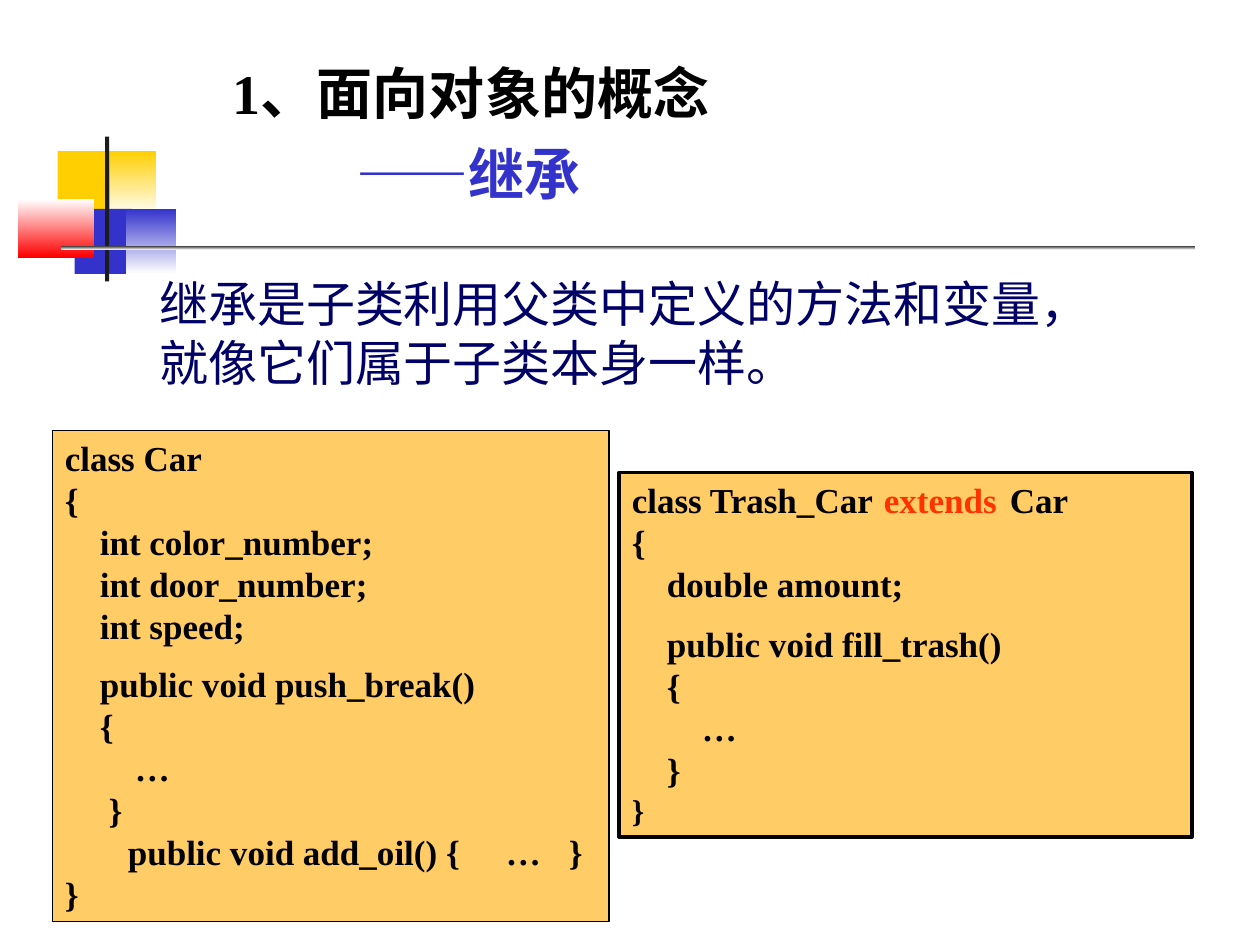
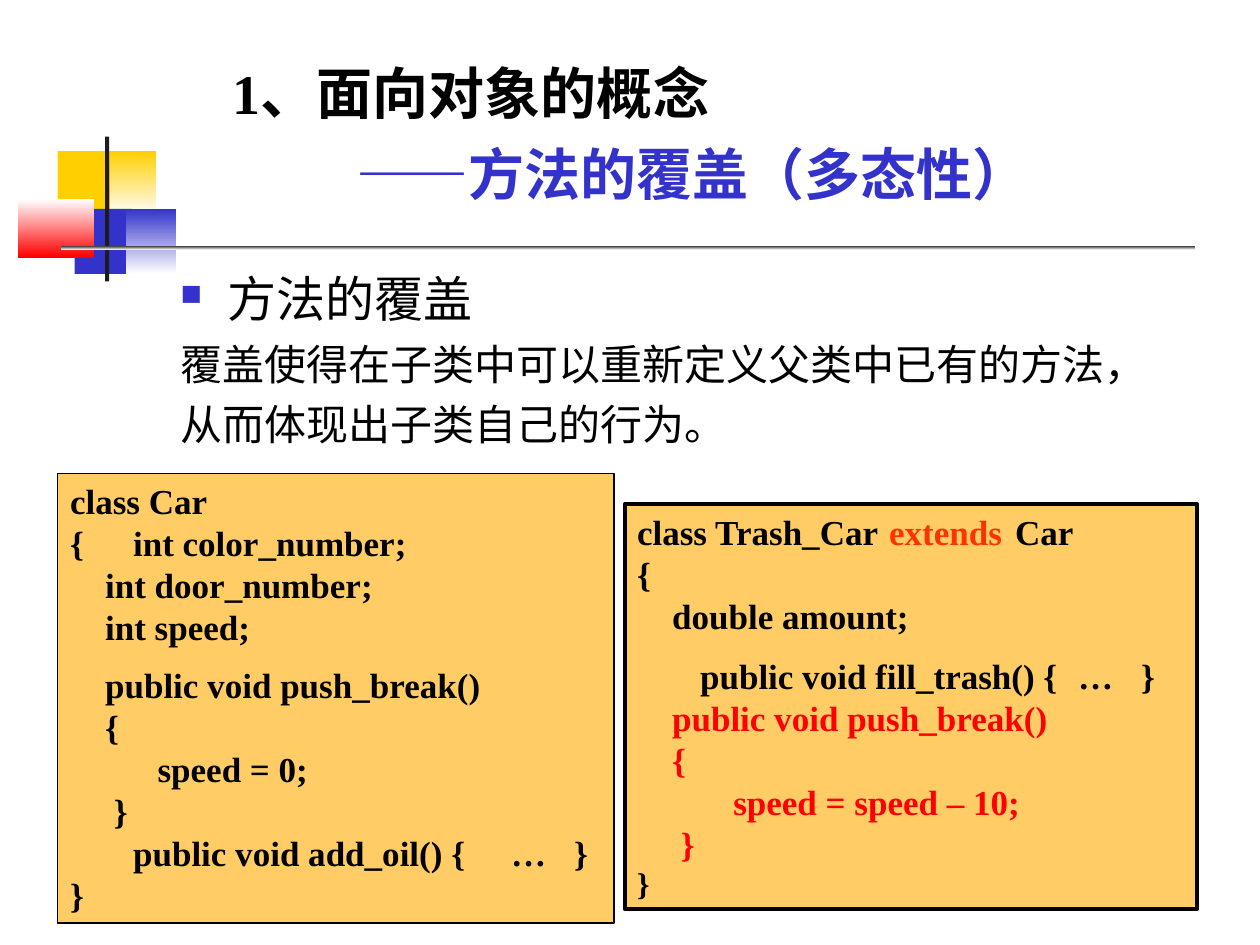
from lxml import etree
from pptx import Presentation
from pptx.dml.color import RGBColor
from pptx.enum.shapes import MSO_SHAPE
from pptx.enum.text import MSO_ANCHOR, PP_ALIGN
from pptx.oxml.ns import qn
from pptx.util import Inches, Pt

RECTANGLE = MSO_SHAPE.RECTANGLE
TOP = MSO_ANCHOR.TOP
LEFT = PP_ALIGN.LEFT

BLACK = RGBColor(0x00, 0x00, 0x00)
WHITE = RGBColor(0xFF, 0xFF, 0xFF)
YELLOW = RGBColor(0xFF, 0xCF, 0x01)
BLUE = RGBColor(0x33, 0x33, 0xCC)
NAVY = RGBColor(0x00, 0x00, 0x66)
RED = RGBColor(0xFF, 0x00, 0x00)
ORANGE_RED = RGBColor(0xFF, 0x33, 0x00)
CHARCOAL = RGBColor(0x1C, 0x1C, 0x1C)
SAND = RGBColor(0xFF, 0xCC, 0x66)

SERIF = "Times New Roman"
SANS = "Lato"
KEYWORD = "extends"
CODE_SPACE = 5

prs = Presentation()
prs.slide_width = Inches(10)
prs.slide_height = Inches(7.5)
COLUMN = prs.slide_width / 120
ROW = prs.slide_height / 90


def place(add, area, *kind):
    left, top, width, height = area
    item = add(*kind, int(left * COLUMN), int(top * ROW), int(width * COLUMN), int(height * ROW))
    item.text_frame.word_wrap = True
    item.text_frame.vertical_anchor = TOP
    if kind:
        item.shadow.inherit = False
        item.line.fill.background()
    return item


def write(frame, text, size, colour, font=SERIF, bold=False, indent=0, before=0, stops=()):
    paragraph = frame.paragraphs[0]
    if paragraph.runs:
        paragraph = frame.add_paragraph()
    paragraph.alignment = LEFT
    paragraph.space_before = Pt(before)
    properties = paragraph._p.get_or_add_pPr()
    properties.set("marL", str(Pt(indent)))
    properties.set("indent", "0")
    if stops:
        tab_list = etree.SubElement(properties, qn("a:tabLst"))
        for stop in stops:
            etree.SubElement(tab_list, qn("a:tab"), pos=str(Inches(stop)), algn="l")
    paragraph.font.name = font
    paragraph.font.size = Pt(size)
    paragraph.font.bold = bold
    paragraph.font.color.rgb = colour
    for part in filter(None, text.partition(KEYWORD)):
        run = paragraph.add_run()
        run.text = part
        if part == KEYWORD:
            run.font.color.rgb = ORANGE_RED
    return paragraph


DECORATION = [
    ((5.5, 14.4, 5.8, 6.2), YELLOW, YELLOW),
    ((10.5, 14.4, 4.4, 6.2), YELLOW, WHITE),
    ((7.1, 19.9, 5.5, 6.2), BLUE, BLUE),
    ((12, 19.9, 4.8, 6.2), BLUE, WHITE),
    ((1.7, 19, 7.3, 5.5), WHITE, RED),
    ((10, 13, 0.4, 13.8), CHARCOAL, CHARCOAL),
    ((5.8, 23.4, 108, 0.4), CHARCOAL, WHITE),
]

SPEED_FIELDS = [
    (4, "int door_number;", 0, BLACK, ()),
    (4, "int speed;", 0, BLACK, ()),
    (4, "public void push_break()", 9.2, BLACK, ()),
    (4, "{", 0, BLACK, ()),
]
CAR_END = [
    (5, "}", 0, BLACK, ()),
    (0, "\tpublic void add_oil() {\t…\t}", 0, BLACK, (0.28, 3.05, 3.54)),
    (0, "}", 0, BLACK, ()),
]
TRASH_CAR_START = [
    (0, "class Trash_Car\textends\tCar", 0, BLACK, (2.05, 3.09)),
    (0, "{", 0, BLACK, ()),
    (4, "double amount;", 0, BLACK, ()),
]

inherited_car = [
    (0, "class Car", 0, BLACK, ()),
    (0, "{", 0, BLACK, ()),
    (4, "int color_number;", 0, BLACK, ()),
    *SPEED_FIELDS,
    (8, "…", 0, BLACK, ()),
    *CAR_END,
]
inheriting_trash_car = [
    *TRASH_CAR_START,
    (4, "public void fill_trash()", 10.3, BLACK, ()),
    (4, "{", 0, BLACK, ()),
    (8, "…", 0, BLACK, ()),
    (4, "}", 0, BLACK, ()),
]
overridden_car = [
    (0, "class Car", 0, BLACK, ()),
    (0, "{\tint color_number;", 0, BLACK, (0.32,)),
    *SPEED_FIELDS,
    (10, "speed = 0;", 0, BLACK, ()),
    *CAR_END,
]
overriding_trash_car = [
    *TRASH_CAR_START,
    (0, "\tpublic void fill_trash() {\t…\t}", 10.3, BLACK, (0.28, 3.25, 3.66)),
    (4, "public void push_break()", 0, RED, ()),
    (4, "{", 0, RED, ()),
    (11, "speed = speed – 10;", 0, RED, ()),
    (5, "}", 0, RED, ()),
]

TOPICS = [
    ("——继承", 56, (14, 25.5, 95, 12.5),
     [(5, 41, 53, 46.8), (59, 45, 54.5, 34.7)], inherited_car, inheriting_trash_car),
    ("——方法的覆盖（多态性）", 90, (16, 25, 95, 17),
     [(5.5, 45.1, 53, 42.8), (59.5, 48, 54.5, 38.6)], overridden_car, overriding_trash_car),
]

explanations = []
for topic, title_width, explanation_area, code_areas, car, trash_car in TOPICS:
    slide = prs.slides.add_slide(prs.slide_layouts[6])
    shapes = slide.shapes

    for area, upper, lower in DECORATION:
        block = place(shapes.add_shape, area, RECTANGLE)
        if upper == lower:
            block.fill.solid()
            block.fill.fore_color.rgb = upper
        else:
            block.fill.gradient()
            block.fill.gradient_angle = 270
            for stop, colour in zip(block.fill.gradient_stops, (upper, lower)):
                stop.color.rgb = colour

    explanations.append(place(shapes.add_textbox, explanation_area).text_frame)

    for area, code, border in zip(code_areas, (car, trash_car), (0.75, 2.25)):
        listing = place(shapes.add_shape, area, RECTANGLE)
        listing.fill.solid()
        listing.fill.fore_color.rgb = SAND
        listing.line.color.rgb = BLACK
        listing.line.width = Pt(border)
        for spaces, text, before, colour, stops in code:
            write(listing.text_frame, text, 20, colour, bold=True,
                  indent=spaces * CODE_SPACE, before=before, stops=stops)
        if code is trash_car:
            write(listing.text_frame, "}", 18, BLACK, bold=True)

    title = place(shapes.add_textbox, (21, 5, title_width, 15.4)).text_frame
    write(title, "1、面向对象的概念", 32, BLACK, bold=True, before=8)
    write(title, topic, 32, BLUE, bold=True, indent=70.6, before=8)

inheritance, overriding = explanations
for sentence in ("继承是子类利用父类中定义的方法和变量，", "就像它们属于子类本身一样。"):
    write(inheritance, sentence, 28, NAVY)

heading = write(overriding, "方法的覆盖", 28, BLACK, SANS, indent=27, before=7)
heading_properties = heading._p.pPr
heading_properties.set("indent", str(-Pt(27)))
bullet_colour = etree.Element(qn("a:buClr"))
etree.SubElement(bullet_colour, qn("a:srgbClr"), val=str(BLUE))
bullet_size = etree.Element(qn("a:buSzPct"), val="60000")
bullet = etree.Element(qn("a:buChar"), char="■")
for part in (bullet_colour, bullet_size, bullet):
    heading_properties.insert(len(heading_properties) - 1, part)
for sentence in ("覆盖使得在子类中可以重新定义父类中已有的方法，", "从而体现出子类自己的行为。"):
    write(overriding, sentence, 24, BLACK, SANS, before=6)

prs.save("out.pptx")
